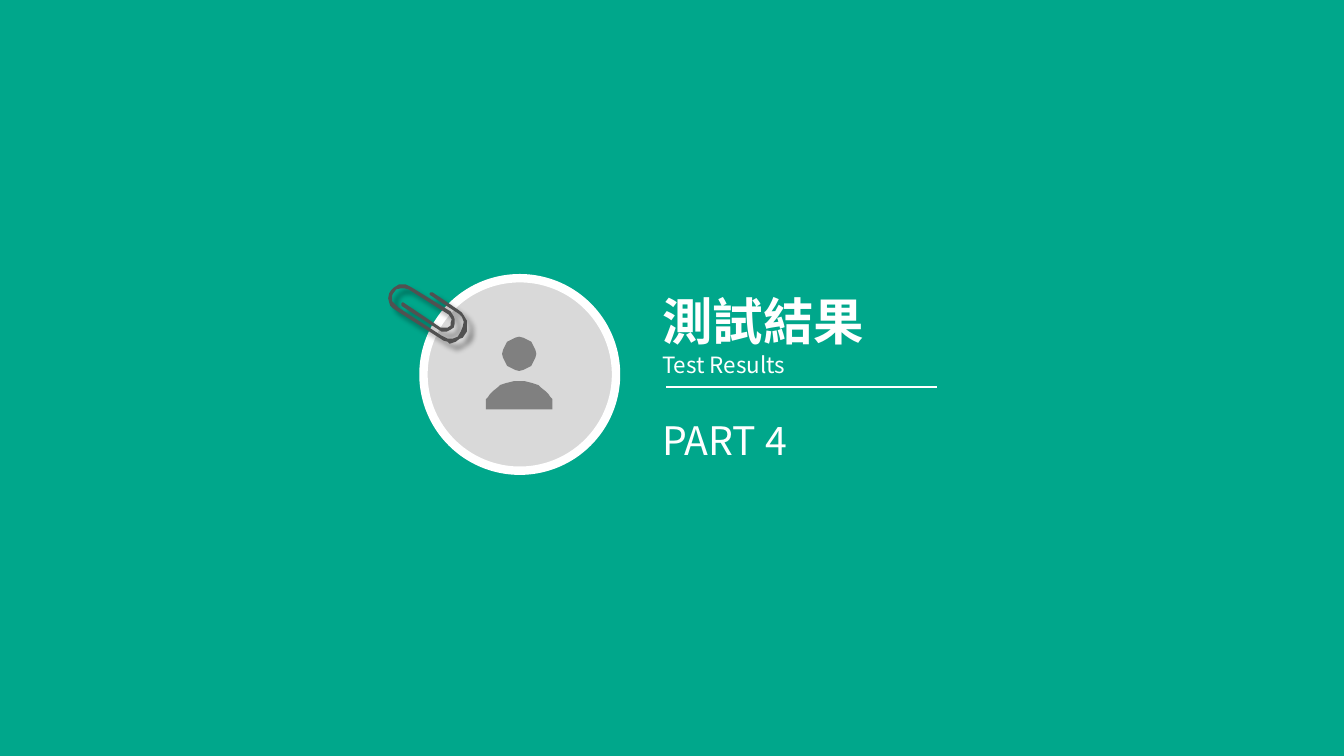
from math import cos, pi, sin

from lxml.etree import SubElement as Sub
from pptx import Presentation as Deck
from pptx.dml.color import RGBColor as Rgb
from pptx.enum.shapes import MSO_CONNECTOR as Conn, MSO_SHAPE as Kind
from pptx.enum.text import MSO_AUTO_SIZE as Auto
from pptx.oxml.ns import qn
from pptx.util import Inches, Pt

TEAL = Rgb(0x00, 0xA7, 0x8B)
WHITE = Rgb(0xFF, 0xFF, 0xFF)
PALE = Rgb(0xD9, 0xD9, 0xD9)
GRAY = Rgb(0x80, 0x80, 0x80)
DARK = Rgb(0x51, 0x51, 0x51)
FONT = "Noto Sans CJK SC"
COLS, ROWS = 1333, 750
CELL = Inches(0.01)

CLIP = [
    (460, 313), (458, 310), (454, 307), (429, 290), (427, 290), (426, 291),
    (426, 292), (427, 293), (453, 310), (456, 312), (458, 314), (460, 319),
    (459, 324), (457, 329), (454, 334), (449, 336), (444, 336), (438, 333),
    (395, 305), (391, 301), (389, 299), (389, 293), (390, 291), (393, 287),
    (398, 286), (401, 286), (405, 287), (445, 312), (447, 315), (448, 317),
    (447, 320), (447, 323), (444, 325), (437, 325), (400, 300), (399, 300),
    (398, 301), (398, 303), (399, 304), (435, 327), (438, 329), (443, 329),
    (447, 327), (450, 325), (451, 321), (451, 317), (450, 314), (447, 309),
    (408, 285), (402, 282), (396, 282), (391, 285), (388, 288), (386, 291),
    (385, 296), (386, 300), (387, 303), (390, 306), (393, 308), (437, 336),
    (440, 338), (444, 339), (446, 341), (449, 340), (452, 339), (456, 336),
    (459, 335), (461, 332), (463, 329), (463, 318),
]
HEAD = [(515 + 16.5 * cos(i * pi / 12), 351 + 16.5 * sin(i * pi / 12))
        for i in range(24)]
SLOPE = [(0, 378), (5, 378), (9, 379), (13, 380), (16, 381), (19, 382),
         (21, 384), (26, 388), (29, 391), (31, 394), (33, 396), (33, 406)]
BODY = ([(515 + x, y) for x, y in SLOPE]
        + [(515 - x, y) for x, y in reversed(SLOPE)])


class Page:
    """Draws styled elements on one slide, measured in grid cells."""

    def __init__(self, deck):
        self.slide = deck.slides.add_slide(deck.slide_layouts[6])
        fill = self.slide.background.fill
        fill.solid()
        fill.fore_color.rgb = TEAL
        self.font = {"name": FONT, "bold": False}

    def group(self):
        return self.slide.shapes.add_group_shape().shapes

    def paint(self, item, fill):
        item.shadow.inherit = False
        item.fill.solid()
        item.fill.fore_color.rgb = fill
        item.line.fill.background()
        return item

    def disc(self, x, y, size, fill, edge, width):
        item = self.slide.shapes.add_shape(
            Kind.OVAL, *(n * CELL for n in (x, y, size, size)))
        self.paint(item, fill)
        item.line.color.rgb = edge
        item.line.width = Pt(width)

    def text(self, home, at, words, space=None, **style):
        box = home.add_textbox(*(n * CELL for n in at))
        frame = box.text_frame
        for key, val in {"word_wrap": True,
                         "auto_size": Auto.SHAPE_TO_FIT_TEXT}.items():
            setattr(frame, key, val)
        para = frame.paragraphs[0]
        para.line_spacing = space
        run = para.add_run()
        run.text = words
        for key, val in {**self.font, **style}.items():
            setattr(run.font, key, val)
        run.font.color.rgb = WHITE
        Sub(run.font._element, qn("a:ea"), typeface=FONT)

    def rule(self, home, x, y, end):
        line = home.add_connector(
            Conn.STRAIGHT, *(n * CELL for n in (x, y, end, y)))
        line.line.color.rgb = WHITE
        line.line.width = Pt(1)
        Sub(line._element.spPr, qn("a:effectLst"))

    def form(self, fill, first, *rest):
        pen = self.slide.shapes.build_freeform(*first[0], scale=CELL)
        pen.add_line_segments(first[1:])
        for path in rest:
            pen.move_to(*path[0])
            pen.add_line_segments(path[1:])
        return self.paint(pen.convert_to_shape(), fill)

    def shade(self, item, blur, dist, turn, alpha):
        root = item._element.spPr.find(qn("a:effectLst"))
        cast = Sub(root, qn("a:outerShdw"), blurRad=str(Pt(blur)),
                   dist=str(Pt(dist)), dir=str(turn * 60000),
                   algn="tl", rotWithShape="0")
        tone = Sub(cast, qn("a:srgbClr"), val="000000")
        Sub(tone, qn("a:alpha"), val=str(alpha * 1000))


def main():
    deck = Deck()
    deck.slide_width, deck.slide_height = COLS * CELL, ROWS * CELL
    page = Page(deck)
    page.disc(420, 276, 191, PALE, WHITE, 6)
    title = page.group()
    page.text(title, (647, 283, 653, 71), "測試結果", size=Pt(36), bold=True)
    page.text(title, (647, 394, 303, 127), "PART 4", 1.3, size=Pt(28))
    page.text(title, (647, 335, 676, 42), "Test Results", 1.3, size=Pt(16))
    page.rule(title, 661, 384, 929)
    clip = page.form(DARK, CLIP)
    page.shade(clip, 4, 6, 45, 40)
    page.form(GRAY, HEAD, BODY)
    deck.save("out.pptx")


if __name__ == "__main__":
    main()
